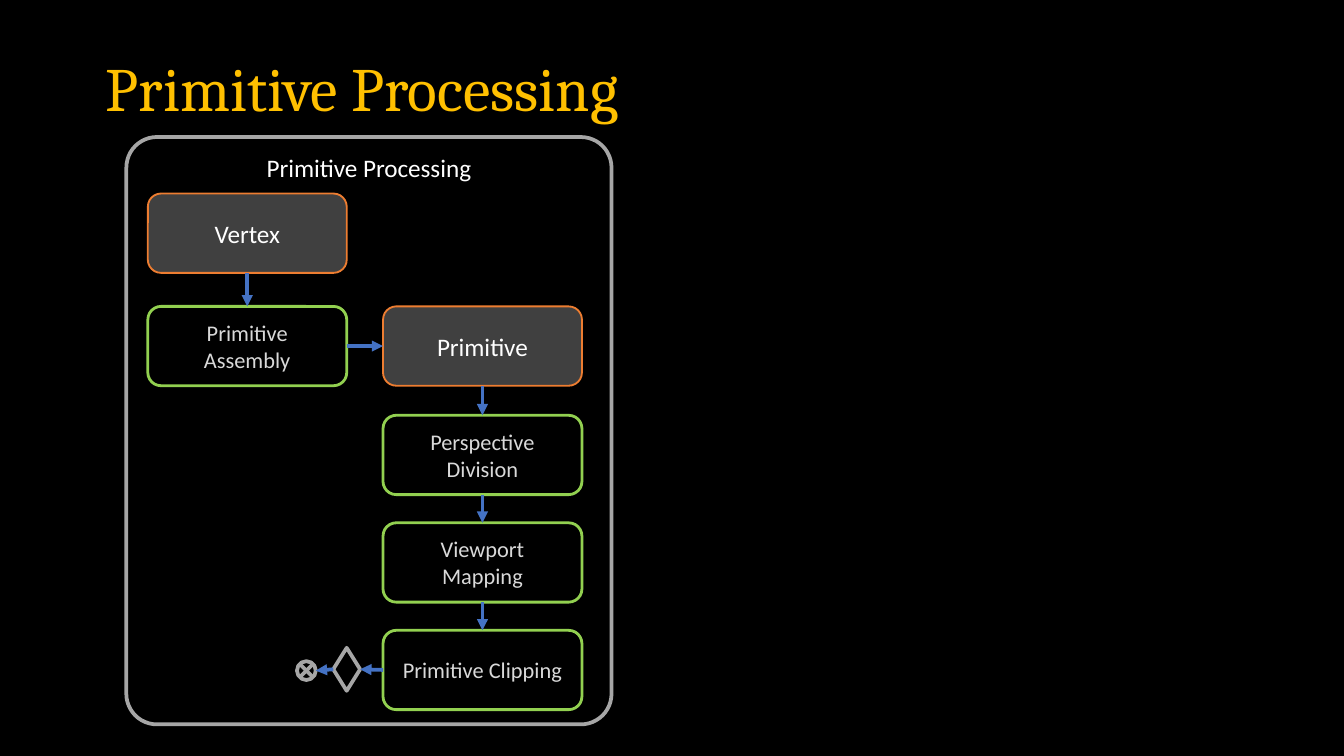
from lxml import etree
from pptx import Presentation
from pptx.dml.color import RGBColor
from pptx.enum.shapes import MSO_CONNECTOR, MSO_SHAPE
from pptx.enum.text import MSO_ANCHOR, PP_ALIGN
from pptx.oxml.ns import qn
from pptx.util import Inches, Pt

ROUNDED = MSO_SHAPE.ROUNDED_RECTANGLE
DIAMOND = MSO_SHAPE.DIAMOND
JUNCTION = MSO_SHAPE.FLOWCHART_SUMMING_JUNCTION
STRAIGHT = MSO_CONNECTOR.STRAIGHT
TOP, MIDDLE = MSO_ANCHOR.TOP, MSO_ANCHOR.MIDDLE
CENTER = PP_ALIGN.CENTER

# Grid of the flow, in inches
COLUMNS = [1.1, 2.85]
ROWS = [1.44, 2.28, 3.09, 3.89, 4.69]
BOX_W, BOX_H = 1.48, 0.59

BLACK, WHITE, GRAY = "000000", "FFFFFF", "A6A6A6"
BLUE, GOLD = "4472C4", "FFC000"

# fill, line, line width, text size, text colour
DATA_STYLE = ("404040", "ED7D31", 1, 13.5, WHITE)
STAGE_STYLE = (BLACK, "92D050", 1.5, 12, "D9D9D9")


def rgb(hex_color):
    return RGBColor.from_string(hex_color)


def write(shape, text, size, color, font="Calibri", align=None, anchor=MIDDLE):
    frame = shape.text_frame
    frame.word_wrap = True
    frame.vertical_anchor = anchor
    paragraph = frame.paragraphs[0]
    paragraph.text = text
    paragraph.alignment = align
    paragraph.font.name = font
    paragraph.font.size = Pt(size)
    paragraph.font.color.rgb = rgb(color)
    return paragraph


def add_outline(slide, preset, left, top, width, height,
                line=GRAY, weight=2, fill=None):
    shape = slide.shapes.add_shape(
        preset, *map(Inches, (left, top, width, height)))
    shape.shadow.inherit = False
    if fill:
        shape.fill.solid()
        shape.fill.fore_color.rgb = rgb(fill)
    else:
        shape.fill.background()
    shape.line.color.rgb = rgb(line)
    shape.line.width = Pt(weight)
    return shape


def add_step(slide, text, column, row, style):
    fill, line, weight, size, color = style
    step = add_outline(slide, ROUNDED, COLUMNS[column], ROWS[row],
                       BOX_W, BOX_H, line, weight, fill)
    write(step, text, size, color, align=CENTER)
    return step


def side(shape, across, down):
    """Point on a shape, as shares of its width and height."""
    return (shape.left + int(shape.width * across),
            shape.top + int(shape.height * down))


def add_arrow(slide, start, end):
    arrow = slide.shapes.add_connector(STRAIGHT, *start, *end)
    arrow.line.color.rgb = rgb(BLUE)
    arrow.line.width = Pt(2)
    etree.SubElement(arrow.line._get_or_add_ln(), qn("a:tailEnd"),
                     type="triangle")
    etree.SubElement(arrow._element.spPr, qn("a:effectLst"))


def arrow_down(slide, upper, lower):
    add_arrow(slide, side(upper, 0.5, 1), side(lower, 0.5, 0))


def arrow_left(slide, right, left):
    add_arrow(slide, side(right, 0, 0.5), side(left, 1, 0.5))


def add_title(slide, text):
    title = slide.shapes.add_textbox(
        *map(Inches, (0.69, 0.3, 8.62, 0.76)))
    write(title, text, 33, GOLD, font="Cambria").line_spacing = 0.9


def main():
    prs = Presentation()
    # Widescreen, 16:9
    prs.slide_width = Inches(10)
    prs.slide_height = prs.slide_width * 9 // 16
    slide = prs.slides.add_slide(prs.slide_layouts[6])
    slide.background.fill.solid()
    slide.background.fill.fore_color.rgb = rgb(BLACK)

    # Title and enclosing panel
    add_title(slide, "Primitive Processing")
    panel = add_outline(slide, ROUNDED, 0.94, 1.02, 3.61, 4.37)
    panel.adjustments[0] = 0.063
    write(panel, "Primitive Processing", 13.5, WHITE,
          align=CENTER, anchor=TOP)

    # Steps
    vertex = add_step(slide, "Vertex", 0, 0, DATA_STYLE)
    assembly = add_step(slide, "Primitive Assembly", 0, 1, STAGE_STYLE)
    primitive = add_step(slide, "Primitive", 1, 1, DATA_STYLE)
    stages = [add_step(slide, text, 1, row, STAGE_STYLE)
              for row, text in enumerate(("Perspective Division",
                                          "Viewport Mapping",
                                          "Primitive Clipping"), 2)]

    # Clipping decision and discard
    decision = add_outline(slide, DIAMOND, 2.48, 4.82, 0.2, 0.32)
    discard = add_outline(slide, JUNCTION, 2.21, 4.92, 0.14, 0.14)

    # Flow
    arrow_down(slide, vertex, assembly)
    add_arrow(slide, side(assembly, 1, 0.5), side(primitive, 0, 0.5))
    for upper, lower in zip([primitive] + stages, stages):
        arrow_down(slide, upper, lower)
    arrow_left(slide, stages[-1], decision)
    arrow_left(slide, decision, discard)

    prs.save("out.pptx")


if __name__ == "__main__":
    main()
